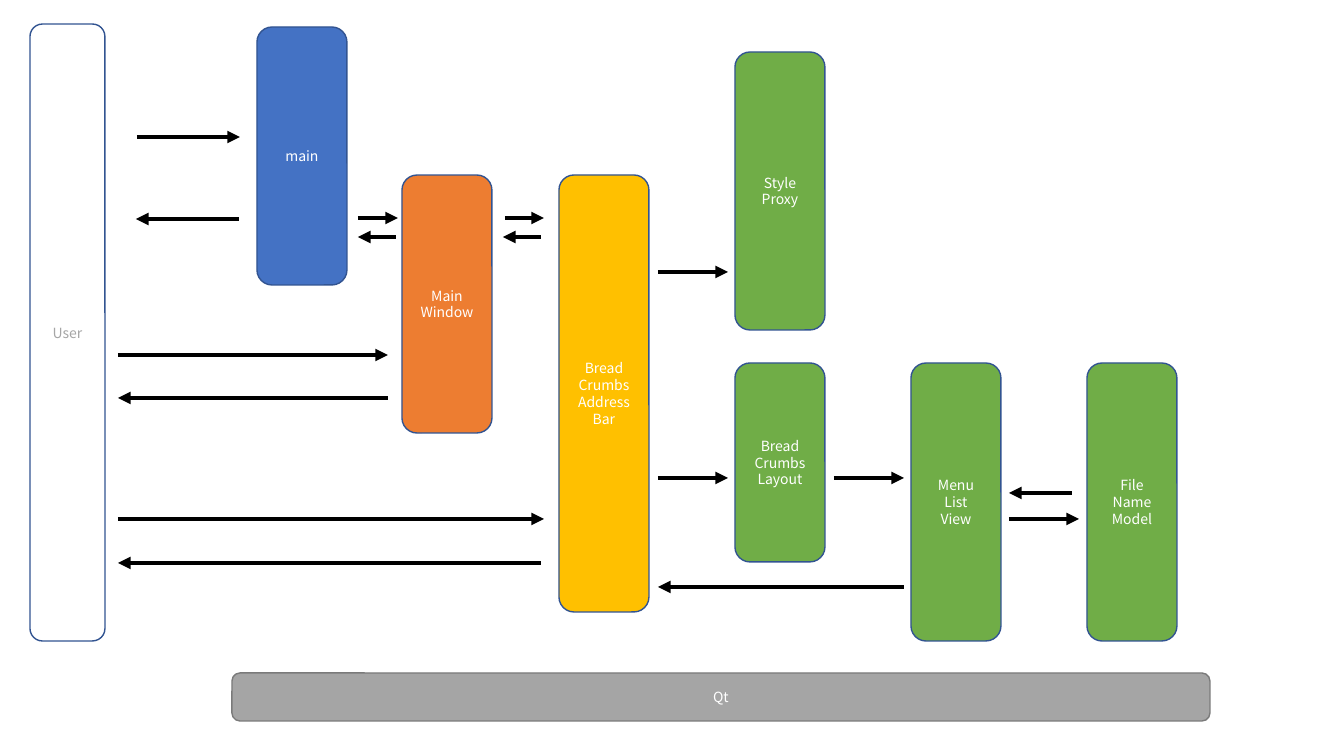
from lxml import etree
from pptx import Presentation
from pptx.dml.color import RGBColor
from pptx.enum.shapes import MSO_CONNECTOR, MSO_SHAPE
from pptx.enum.text import MSO_ANCHOR, PP_ALIGN
from pptx.oxml.ns import qn
from pptx.util import Pt

ROUNDED = MSO_SHAPE.ROUNDED_RECTANGLE
STRAIGHT = MSO_CONNECTOR.STRAIGHT
MIDDLE = MSO_ANCHOR.MIDDLE
CENTER = PP_ALIGN.CENTER

EMU_PER_PIXEL = 914400 / 100.8
PAGE_WIDTH, PAGE_HEIGHT = 1344, 756

THEME = {
    "font": "Noto Sans CJK JP",
    "text_size": 10,
    "outline_width": 1,
    "arrow_width": 3,
    "arrow": "000000",
    # style: (fill, outline, text)
    "user": (None, "325491", "A6A6A6"),
    "entry": ("4472C4", "325491", "FFFFFF"),
    "window": ("ED7D31", "325491", "FFFFFF"),
    "bar": ("FFC000", "325491", "FFFFFF"),
    "part": ("70AD47", "325491", "FFFFFF"),
    "toolkit": ("A5A5A5", "7A7A7A", "FFFFFF"),
}

# Class columns share one width; those from the address bar on are evenly spaced.
COLUMN_WIDTH = 90
BAR_LEFT, COLUMN_STEP = 559, 176
BAR, LAYOUT, MENU, MODEL = (BAR_LEFT + COLUMN_STEP * i for i in range(4))
ENTRY, WINDOW = 257, 402

# (lines, style, left, top, width, height)
WIDE_BOXES = [
    (["User"], "user", 30, 24, 75, 617),
    (["Qt"], "toolkit", 232, 673, 978, 48),
]

# (lines, style, left, top, height)
CLASS_BOXES = [
    (["main"], "entry", ENTRY, 27, 258),
    (["Main", "Window"], "window", WINDOW, 175, 258),
    (["Bread", "Crumbs", "Address", "Bar"], "bar", BAR, 175, 437),
    (["Bread", "Crumbs", "Layout"], "part", LAYOUT, 363, 199),
    (["Style", "Proxy"], "part", LAYOUT, 52, 278),
    (["Menu", "List", "View"], "part", MENU, 363, 278),
    (["File", "Name", "Model"], "part", MODEL, 363, 278),
]

# (start x, end x, y)
ARROWS = [
    # User and main
    (137, 240, 137), (239, 136, 219),
    # User and Main Window
    (118, 388, 355), (388, 118, 398),
    # User and address bar
    (118, 544, 519), (541, 118, 563),
    # Address bar to style and layout, layout to menu
    (658, 728, 272), (658, 728, 478), (834, 904, 478),
    # Menu and model
    (1072, 1009, 493), (1009, 1079, 519),
    # main, Main Window and address bar
    (358, 398, 218), (505, 544, 218), (541, 503, 237), (396, 358, 237),
    # Menu back to address bar
    (904, 658, 587),
]


def px(pixels):
    """Turn pixels into EMU."""
    return round(pixels * EMU_PER_PIXEL)


def color(name):
    """Turn a hex string into a colour."""
    return RGBColor.from_string(name)


def add_box(page, lines, style, *frame):
    """Add a rounded box with one centred paragraph per line."""
    fill, outline, text_color = THEME[style]
    box = page.shapes.add_shape(ROUNDED, *map(px, frame))
    box.shadow.inherit = False
    if fill:
        box.fill.solid()
        box.fill.fore_color.rgb = color(fill)
    else:
        box.fill.background()
    box.line.color.rgb = color(outline)
    box.line.width = Pt(THEME["outline_width"])

    frame_text = box.text_frame
    frame_text.word_wrap = True
    frame_text.vertical_anchor = MIDDLE
    for index, line in enumerate(lines):
        para = frame_text.add_paragraph() if index else frame_text.paragraphs[0]
        para.alignment = CENTER
        span = para.add_run()
        span.text = line
        span.font.name = THEME["font"]
        span.font.size = Pt(THEME["text_size"])
        span.font.color.rgb = color(text_color)


def add_arrow(page, start, end, y):
    """Add a horizontal arrow pointing at its end."""
    arrow = page.shapes.add_connector(STRAIGHT, px(start), px(y), px(end), px(y))
    arrow.line.color.rgb = color(THEME["arrow"])
    arrow.line.width = Pt(THEME["arrow_width"])
    properties = arrow.line._get_or_add_ln()
    etree.SubElement(properties, qn("a:tailEnd"), type="triangle")
    etree.SubElement(properties.getparent(), qn("a:effectLst"))


def main():
    """Build the class interaction slide."""
    deck = Presentation()
    deck.slide_width, deck.slide_height = px(PAGE_WIDTH), px(PAGE_HEIGHT)
    page = deck.slides.add_slide(deck.slide_layouts[6])
    for box in WIDE_BOXES:
        add_box(page, *box)
    for lines, style, left, top, height in CLASS_BOXES:
        add_box(page, lines, style, left, top, COLUMN_WIDTH, height)
    for arrow in ARROWS:
        add_arrow(page, *arrow)
    deck.save("out.pptx")


main()
